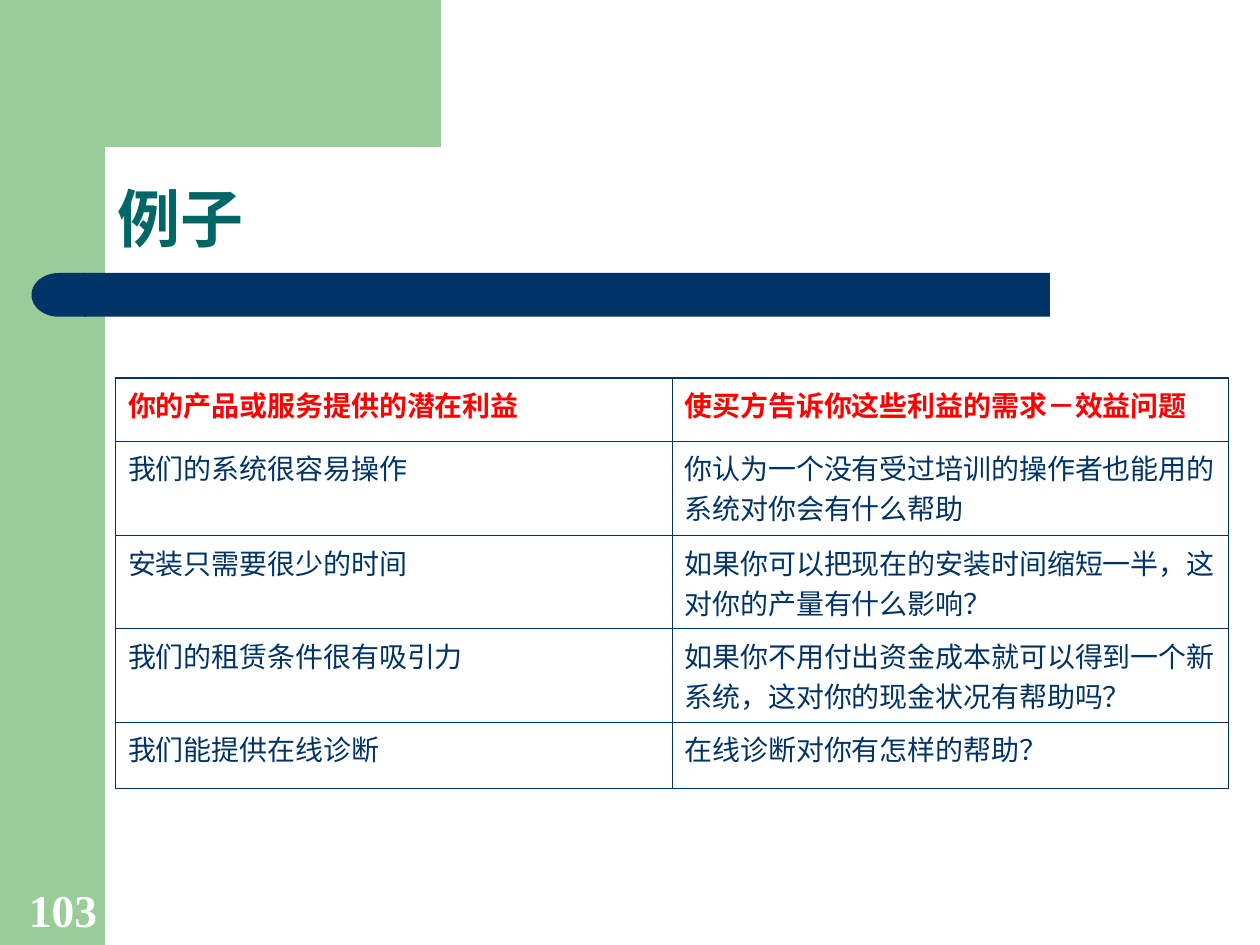
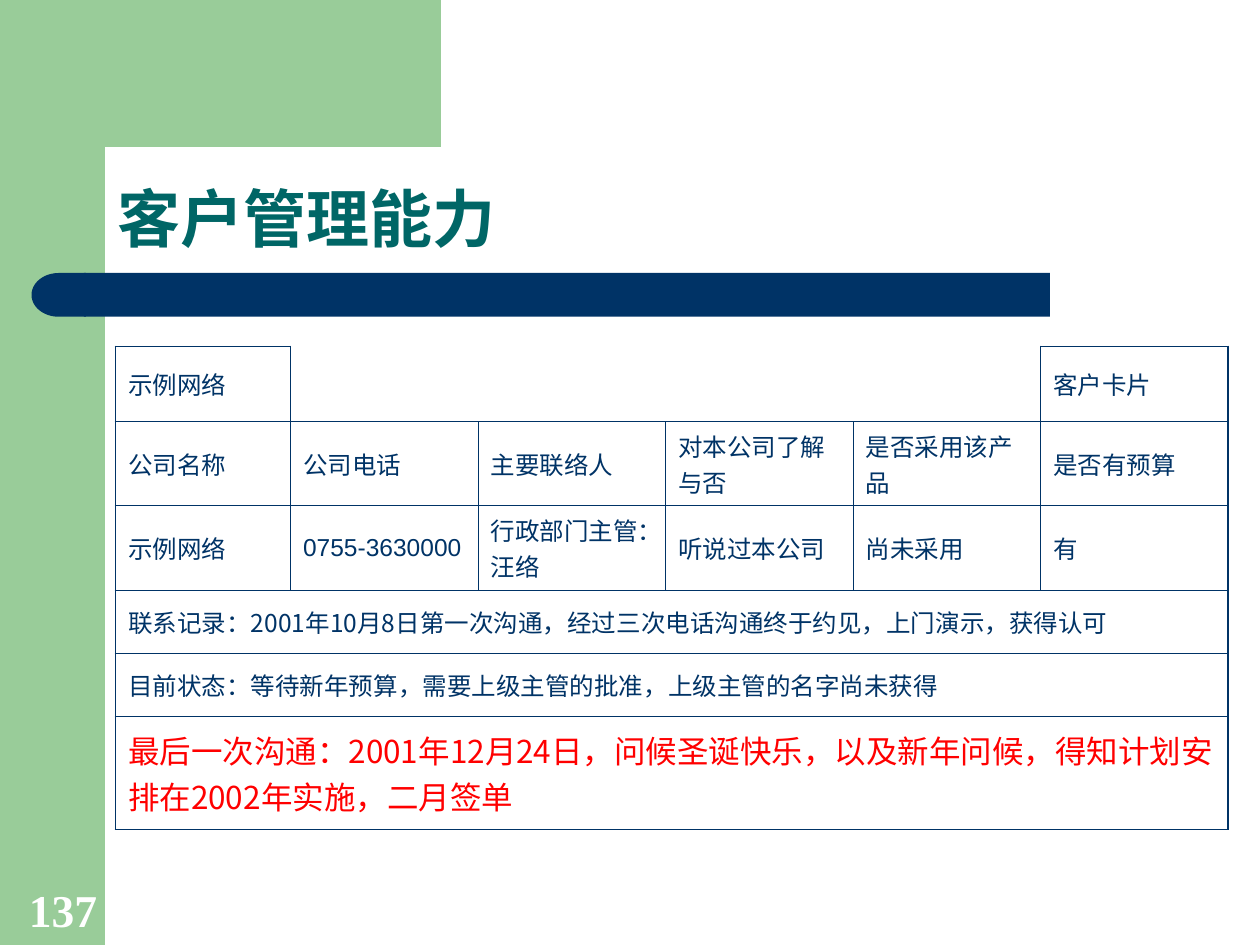
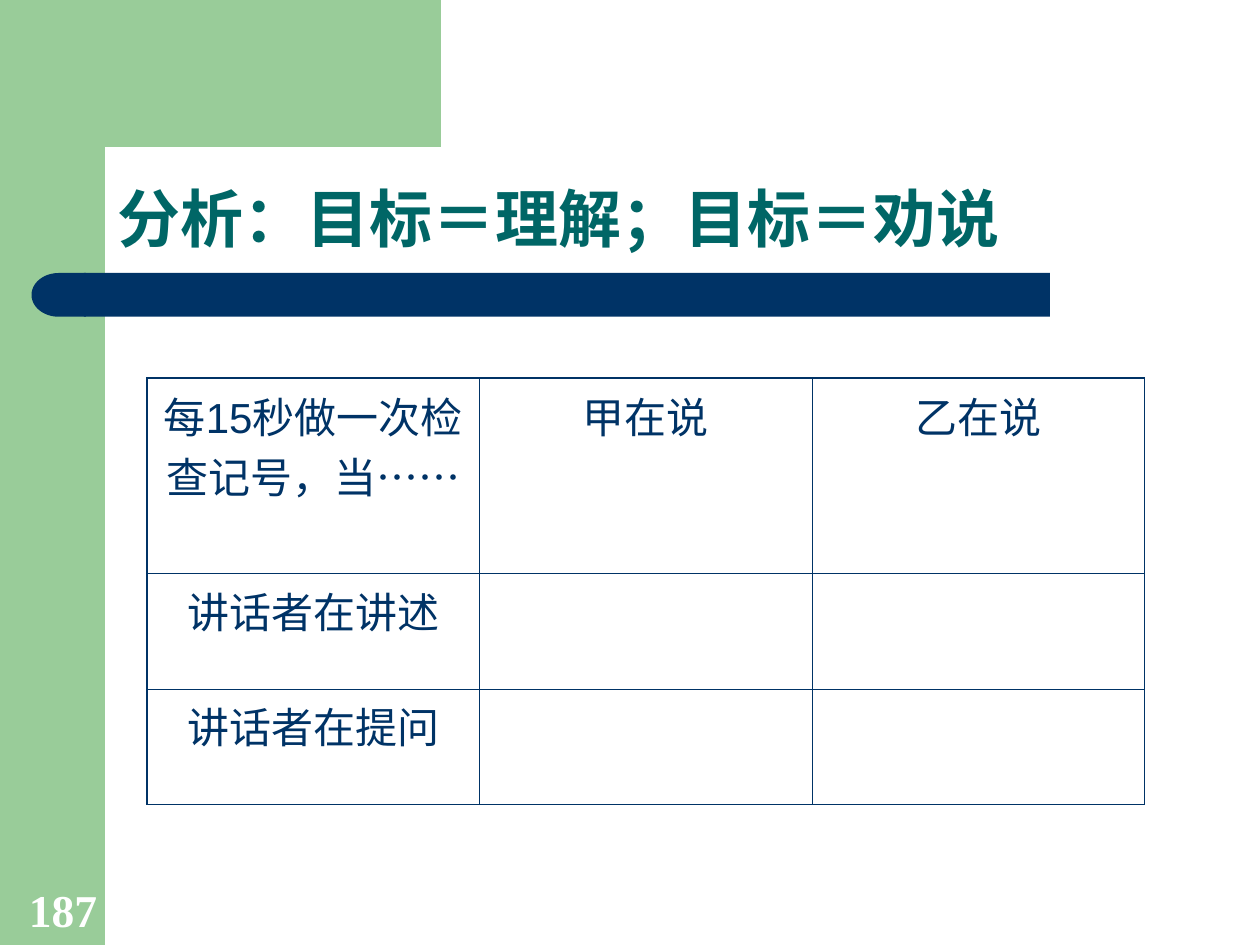
from lxml import etree
from pptx import Presentation
from pptx.dml.color import RGBColor
from pptx.enum.shapes import MSO_SHAPE
from pptx.enum.text import MSO_ANCHOR, MSO_AUTO_SIZE, PP_ALIGN
from pptx.oxml.ns import qn
from pptx.util import Pt

RECT, DELAY = MSO_SHAPE.RECTANGLE, MSO_SHAPE.FLOWCHART_DELAY
TOP, MIDDLE, BOTTOM = MSO_ANCHOR.TOP, MSO_ANCHOR.MIDDLE, MSO_ANCHOR.BOTTOM
LEFT, CENTER = PP_ALIGN.LEFT, PP_ALIGN.CENTER
COLORS = {"green": "99CC99", "navy": "003366", "teal": "006666",
          "red": "FF0000", "white": "FFFFFF"}
SANS, HAN, SERIF = "Arial", "Noto Sans CJK SC", "Times New Roman"
THICK, THIN = 1.08, 0.45

BANDS = [  # shape, left, top, width, height, color
    (RECT, 0, 0, 60, 540, "green"),
    (RECT, 54, 0, 198, 84, "green"),
    (RECT, 48, 156, 552, 25, "navy"),
    (DELAY, 18, 156, 31, 25, "navy"),
]

SHEETS = [
    {"title": "例子", "page": "103", "at": (66, 216), "size": 16, "font": SANS,
     "anchor": TOP, "align": LEFT, "cols": [318] * 2, "heights": [36, 54, 47, 47, 38],
     "red": (0, 16, True), "bare": [],
     "rows": [
         ["你的产品或服务提供的潜在利益", "使买方告诉你这些利益的需求－效益问题"],
         ["我们的系统很容易操作", "你认为一个没有受过培训的操作者也能用的系统对你会有什么帮助"],
         ["安装只需要很少的时间", "如果你可以把现在的安装时间缩短一半，这对你的产量有什么影响？"],
         ["我们的租赁条件很有吸引力",
          "如果你不用付出资金成本就可以得到一个新系统，这对你的现金状况有帮助吗？"],
         ["我们能提供在线诊断", "在线诊断对你有怎样的帮助？"]]},
    {"title": "客户管理能力", "page": "137", "at": (66, 198), "size": 14, "font": HAN,
     "anchor": MIDDLE, "align": LEFT, "cols": [100] + [107.2] * 5,
     "heights": [43, 43, 41, 36, 36, 65], "red": (5, 18, False),
     "bare": [(0, col) for col in range(1, 5)],
     "rows": [
         ["示例网络", "", "", "", "", "客户卡片"],
         ["公司名称", "公司电话", "主要联络人", "对本公司了解与否", "是否采用该产品", "是否有预算"],
         ["示例网络", "0755-3630000", "行政部门主管：汪络", "听说过本公司", "尚未采用", "有"],
         ["联系记录：2001年10月8日第一次沟通，经过三次电话沟通终于约见，上门演示，获得认可"],
         ["目前状态：等待新年预算，需要上级主管的批准，上级主管的名字尚未获得"],
         ["最后一次沟通：2001年12月24日，问候圣诞快乐，以及新年问候，"
          "得知计划安排在2002年实施，二月签单"]]},
    {"title": "分析：目标＝理解；目标＝劝说", "page": "187", "at": (84, 216), "size": 24,
     "font": SANS, "anchor": TOP, "align": CENTER, "cols": [190] * 3,
     "heights": [94, 66, 66], "red": (None, 0, False), "bare": [],
     "rows": [
         ["每15秒做一次检查记号，当……", "甲在说", "乙在说"],
         ["讲话者在讲述", "", ""],
         ["讲话者在提问", "", ""]]},
]


def write(para, text, size, color, face, bold=False):
    run = para.add_run()
    run.text = text
    font = run.font
    font.size, font.bold, font.name = Pt(size), bold, face
    font.color.rgb = RGBColor.from_string(COLORS[color])
    east = etree.Element(qn("a:ea"), typeface=HAN)
    font._element.find(qn("a:latin")).addnext(east)


def edge(cell, order, side, width):
    line = etree.Element(qn("a:ln" + side), w=str(Pt(width)))
    if width:
        fill = etree.SubElement(line, qn("a:solidFill"))
        etree.SubElement(fill, qn("a:srgbClr"), val=COLORS["navy"])
    else:
        etree.SubElement(line, qn("a:noFill"))
    cell._tc.get_or_add_tcPr().insert(order, line)


deck = Presentation()
deck.slide_width, deck.slide_height = Pt(720), Pt(540)
layout = deck.slide_layouts[5]
for holder in list(layout.placeholders)[1:]:
    holder.element.getparent().remove(holder.element)
slides = [deck.slides.add_slide(layout) for sheet in SHEETS]

# Shared bands, moved behind the title of the layout
for order, (kind, left, top, width, height, color) in enumerate(BANDS):
    band = slides[0].shapes.add_shape(kind, Pt(left), Pt(top), Pt(width), Pt(height))
    band.shadow.inherit = False
    band.fill.solid()
    band.fill.fore_color.rgb = RGBColor.from_string(COLORS[color])
    band.line.fill.background()
    if kind == DELAY:
        band.rotation = 180
    layout.shapes.element.insert(2 + order, band.element)

for slide, sheet in zip(slides, SHEETS):
    # Title
    title = slide.shapes.title
    title.left, title.top, title.width, title.height = Pt(60), Pt(60), Pt(630), Pt(90)
    frame = title.text_frame
    frame.auto_size, frame.vertical_anchor = MSO_AUTO_SIZE.NONE, BOTTOM
    para = frame.paragraphs[0]
    para.alignment, para.line_spacing = LEFT, 0.9
    write(para, sheet["title"], 36, "teal", SANS, True)

    # Table
    rows, cols, heights = sheet["rows"], sheet["cols"], sheet["heights"]
    left, top = sheet["at"]
    table = slide.shapes.add_table(len(rows), len(cols), Pt(left), Pt(top),
                                   Pt(sum(cols)), Pt(sum(heights))).table
    table.first_row = table.horz_banding = False
    for col, width in zip(table.columns, cols):
        col.width = Pt(width)
    for row, height in zip(table.rows, heights):
        row.height = Pt(height)
    for r, row in enumerate(rows):
        if len(row) == 1:
            table.cell(r, 0).merge(table.cell(r, len(cols) - 1))
        for c, text in enumerate(row):
            cell = table.cell(r, c)
            cell.vertical_anchor = sheet["anchor"]
            para = cell.text_frame.paragraphs[0]
            para.alignment = sheet["align"]
            size, color, bold = sheet["size"], "navy", False
            mark, big, heavy = sheet["red"]
            if r == mark:
                size, color, bold = big, "red", heavy
            face = SANS if text.startswith("0755") else sheet["font"]
            if text:
                write(para, text, size, color, face, bold)

        # Borders: thick outside, thin inside, none between bare cells
        for c in range(len(cols)):
            cell = table.cell(r, c)
            cell.fill.background()
            bare = sheet["bare"]
            sides = [("L", (r, c - 1), c == 0),
                     ("R", (r, c + 1), c + cell.span_width == len(cols)),
                     ("T", (r - 1, c), r == 0),
                     ("B", (r + 1, c), r == len(rows) - 1)]
            for order, (side, near, outer) in enumerate(sides):
                width = THICK if outer else THIN
                open_side = (r, c) in bare and (near in bare or outer)
                if open_side or (cell.is_spanned and side in "LR" and not outer):
                    width = 0
                edge(cell, order, side, width)

    # Page number
    box = slide.shapes.add_textbox(Pt(6.5), Pt(499.7), Pt(59), Pt(38.9))
    frame = box.text_frame
    frame.word_wrap, frame.vertical_anchor = True, BOTTOM
    para = frame.paragraphs[0]
    para.alignment = CENTER
    write(para, sheet["page"], 26, "white", SERIF, True)

deck.save("out.pptx")
